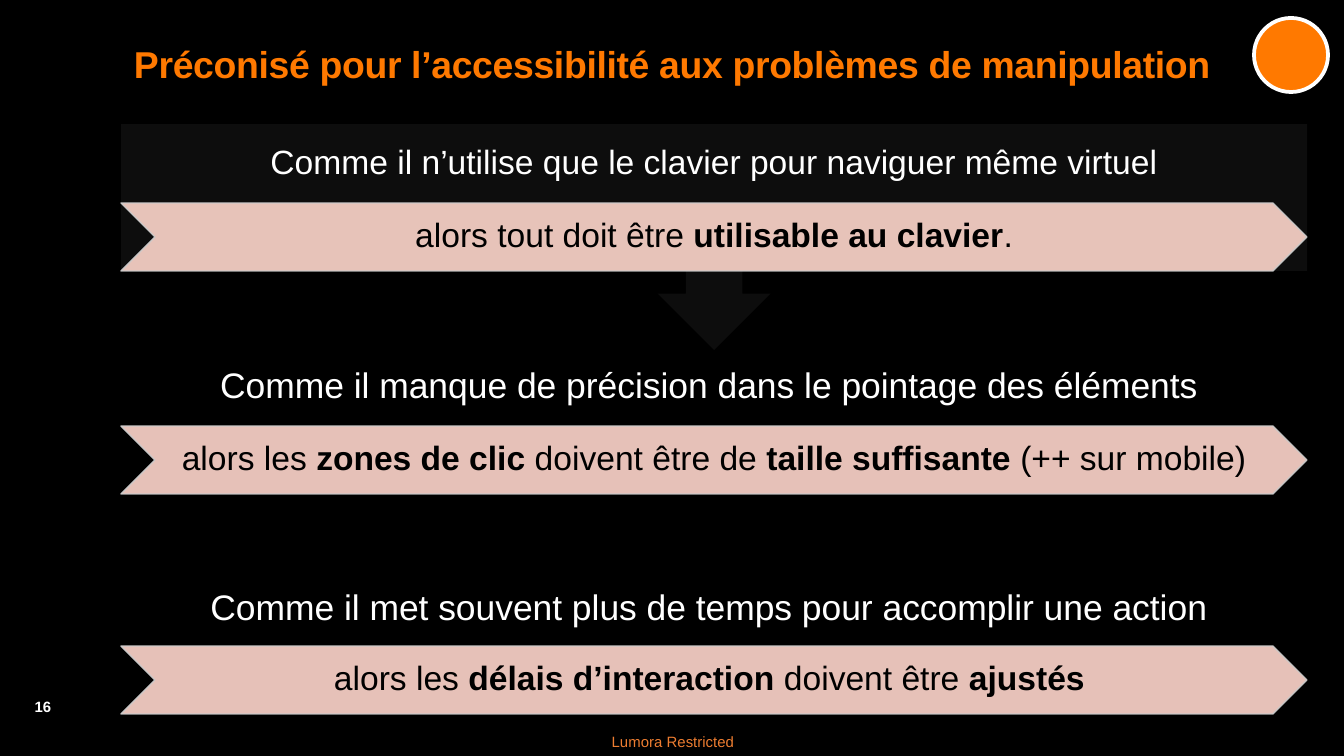
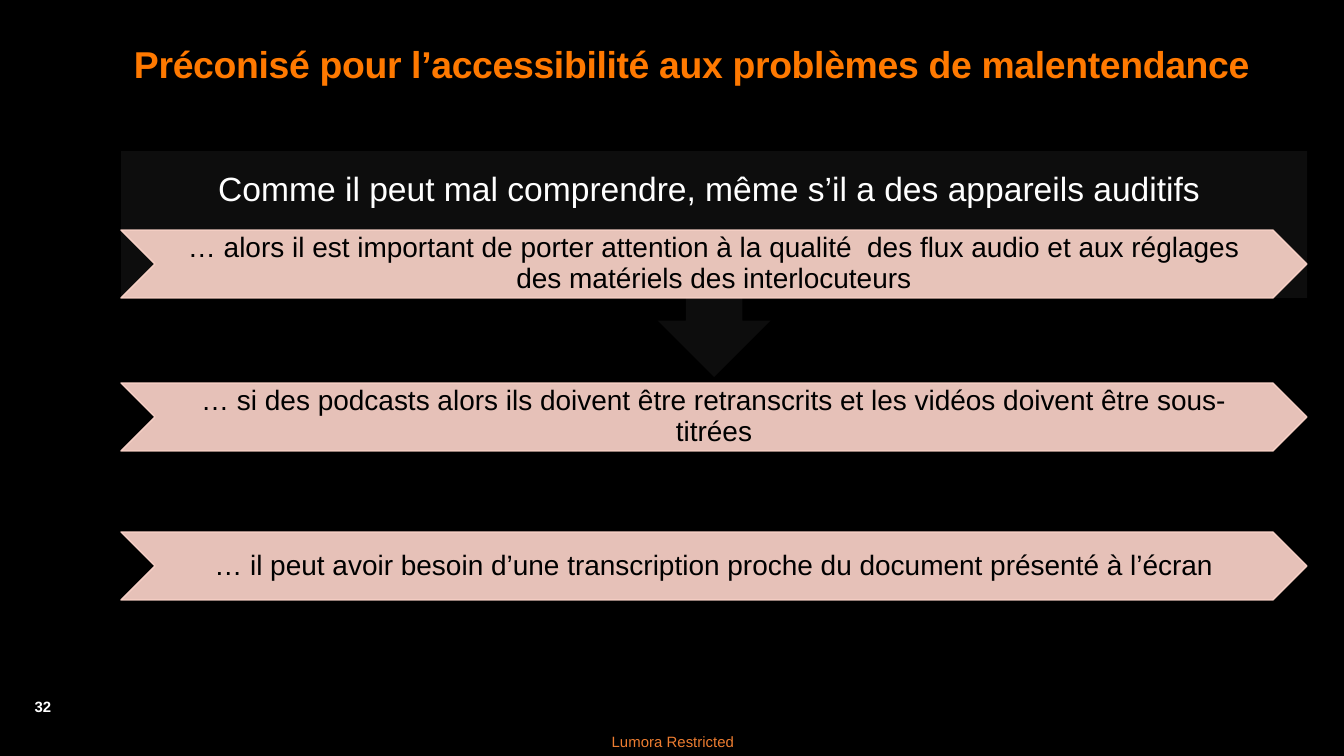
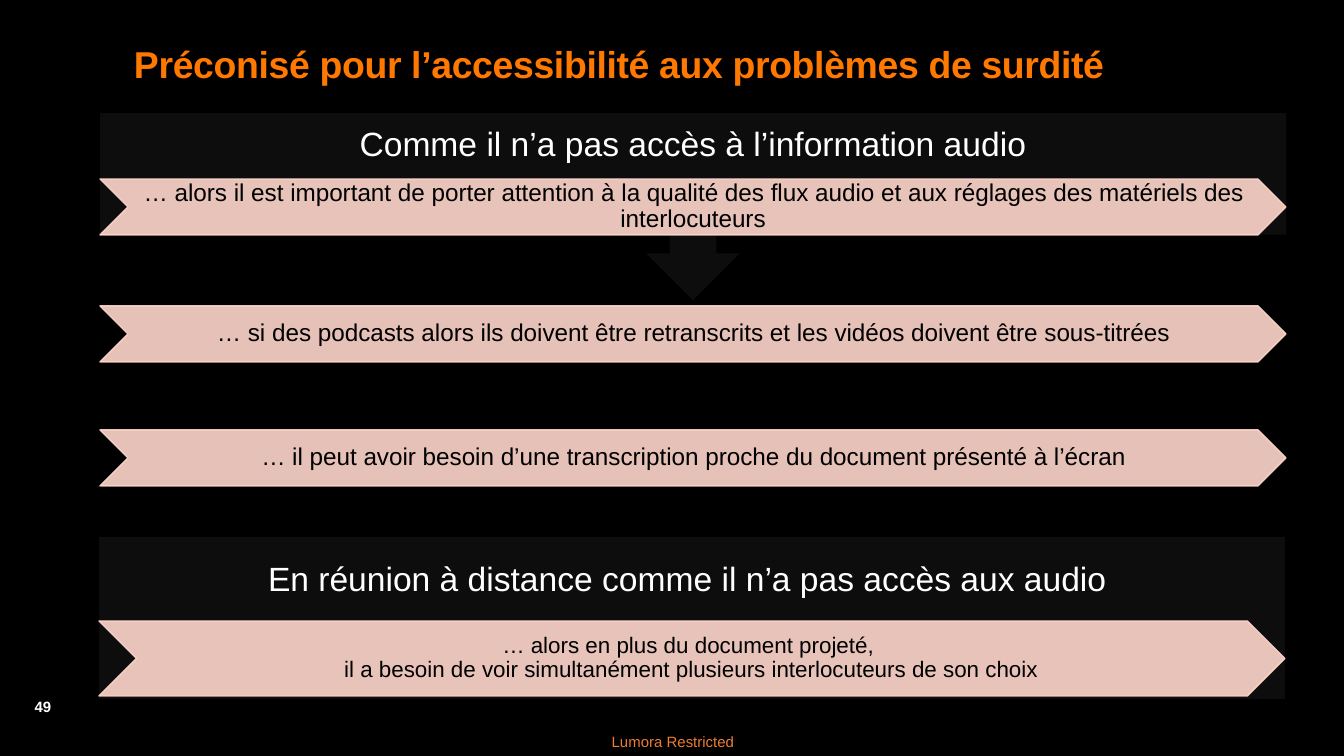
"""Build three slides of accessibility recommendations as chevron lists."""
from lxml.etree import SubElement
from pptx import Presentation
from pptx.dml.color import RGBColor
from pptx.enum.shapes import MSO_SHAPE as SHAPE
from pptx.enum.text import MSO_ANCHOR as ANCHOR, PP_ALIGN as ALIGN
from pptx.oxml.ns import qn
from pptx.util import Pt

PX = 914400 / 134.4
BLACK, WHITE, ORANGE, GREY = "000000", "FFFFFF", "FF7900", "0D0D0D"
FOOTER, PINK, SILVER = "ED7D31", "FFD7CC", "CCCCCC"
WIDTH = 1186


def add_text(s, text, box, size=18, color=WHITE, bold=False, align=ALIGN.CENTER,
             anchor=ANCHOR.MIDDLE, pad=(0, 0), spacing=0.9, wrap=True, kern=None):
    tf = s.shapes.add_textbox(*(round(v * PX) for v in box)).text_frame
    tf.word_wrap, tf.vertical_anchor = wrap, anchor
    tf.margin_left = tf.margin_right = round(pad[0] * PX)
    tf.margin_top = tf.margin_bottom = round(pad[1] * PX)
    p = tf.paragraphs[0]
    p.alignment, p.line_spacing = align, spacing
    for n, line in enumerate(text.split("\n")):
        if n:
            p.add_line_break()
        for i, part in enumerate(line.split("*")):
            if part:
                r = p.add_run()
                r.text = part
                r.font.name, r.font.size = "Arial", Pt(size)
                r.font.bold = bold or i % 2 == 1
                r.font.color.rgb = RGBColor.from_string(color)
                if kern:
                    r.font._element.set("spc", str(kern))


def add_shape(s, kind, box, fill, line=None, weight=0.75, opacity=100):
    sp = s.shapes.add_shape(kind, *(round(v * PX) for v in box))
    sp.shadow.inherit = False
    sp.fill.solid()
    sp.fill.fore_color.rgb = RGBColor.from_string(fill)
    if line:
        sp.line.color.rgb = RGBColor.from_string(line)
        sp.line.width = Pt(weight)
    else:
        sp.line.fill.background()
    if opacity < 100:
        for clr in sp._element.spPr.iter(qn("a:srgbClr")):
            SubElement(clr, qn("a:alpha"), val=str(opacity * 1000))
    return sp


SLIDES = [
    dict(number=16, topic="manipulation", edge=SILVER,
         panels=[(SHAPE.UP_ARROW_CALLOUT, 121, 124, 226)],
         heads=[(121, 124, 79, 18, "Comme il n’utilise que le clavier pour naviguer même virtuel"),
                (121, 347, 79, 19, "Comme il manque de précision dans le pointage des éléments "),
                (121, 570, 79, 19, "Comme il met souvent plus de temps pour accomplir une action ")],
         steps=[(121, 203, 68, 18, "alors tout doit être *utilisable au clavier*."),
                (121, 426, 68, 18, "alors les *zones de clic *doivent être de *taille suffisante *(++ sur mobile)"),
                (121, 646, 68, 18, "alors les *délais d’interaction *doivent être *ajustés *")]),
    dict(number=32, topic="malentendance", edge=PINK,
         panels=[(SHAPE.UP_ARROW_CALLOUT, 121, 151, 226)],
         heads=[(121, 151, 79, 18, "Comme il peut mal comprendre, même s’il a des appareils auditifs ")],
         steps=[(121, 230, 68, 15, "… alors il est important de porter attention à la qualité  des flux audio "
                 "et aux réglages des matériels des interlocuteurs"),
                (121, 383, 68, 15, "… si des podcasts alors ils doivent être retranscrits "
                 "et les vidéos doivent être sous-titrées"),
                (121, 532, 68, 15, "… il peut avoir besoin d’une transcription proche du document "
                 "présenté à l’écran")]),
    dict(number=49, topic="surdité", edge=PINK,
         panels=[(SHAPE.UP_ARROW_CALLOUT, 100, 113, 187), (SHAPE.RECTANGLE, 99, 537, 162)],
         heads=[(100, 113, 66, 18, "Comme il n’a pas accès à l’information audio"),
                (99, 537, 87, 18, "En réunion à distance comme il n’a pas accès aux audio ")],
         steps=[(100, 179, 56, 13, "… alors il est important de porter attention à la qualité des flux audio "
                 "et aux réglages des matériels des interlocuteurs"),
                (100, 306, 56, 13, "… si des podcasts alors ils doivent être retranscrits "
                 "et les vidéos doivent être sous-titrées"),
                (100, 430, 56, 13, "… il peut avoir besoin d’une transcription proche du document "
                 "présenté à l’écran"),
                (99, 621, 75, 12, "… alors en plus du document projeté, \n"
                 "il a besoin de voir simultanément plusieurs interlocuteurs de son choix")]),
]

prs = Presentation()
prs.slide_width, prs.slide_height = round(1344 * PX), round(756 * PX)
background = prs.slide_master.background.fill
background.solid()
background.fore_color.rgb = RGBColor.from_string(BLACK)

for data in SLIDES:
    s = prs.slides.add_slide(prs.slide_layouts[6])
    add_text(s, "Lumora Restricted", (589, 726, 168, 31), size=8, color=FOOTER, spacing=1)
    add_text(s, str(data["number"]), (13, 691, 60, 32), size=8, bold=True,
             anchor=ANCHOR.TOP, pad=(13, 7), spacing=1, wrap=False)
    add_text(s, f"Préconisé pour l’accessibilité aux problèmes de {data['topic']}",
             (121, 39, WIDTH, 109), size=20, color=ORANGE, bold=True,
             align=ALIGN.LEFT, anchor=ANCHOR.TOP, pad=(13, 7), kern=-20)
    for kind, x, y, h in data["panels"]:
        sp = add_shape(s, kind, (x, y, WIDTH, h), GREY)
        if kind == SHAPE.UP_ARROW_CALLOUT:
            sp.rotation = 180
    for x, y, h, size, text in data["heads"]:
        add_text(s, text, (x, y, WIDTH, h), size=size, pad=(19, 19))
    for x, y, h, size, text in data["steps"]:
        add_shape(s, SHAPE.CHEVRON, (x, y, WIDTH, h), PINK, line=data["edge"], opacity=90)
        add_text(s, text, (x + h // 2, y, WIDTH - h, h), size=size, color=BLACK, pad=(size, 3))

add_shape(prs.slides[0], SHAPE.OVAL, (1254, 18, 74, 74), ORANGE, line=WHITE, weight=2)

prs.save("out.pptx")
